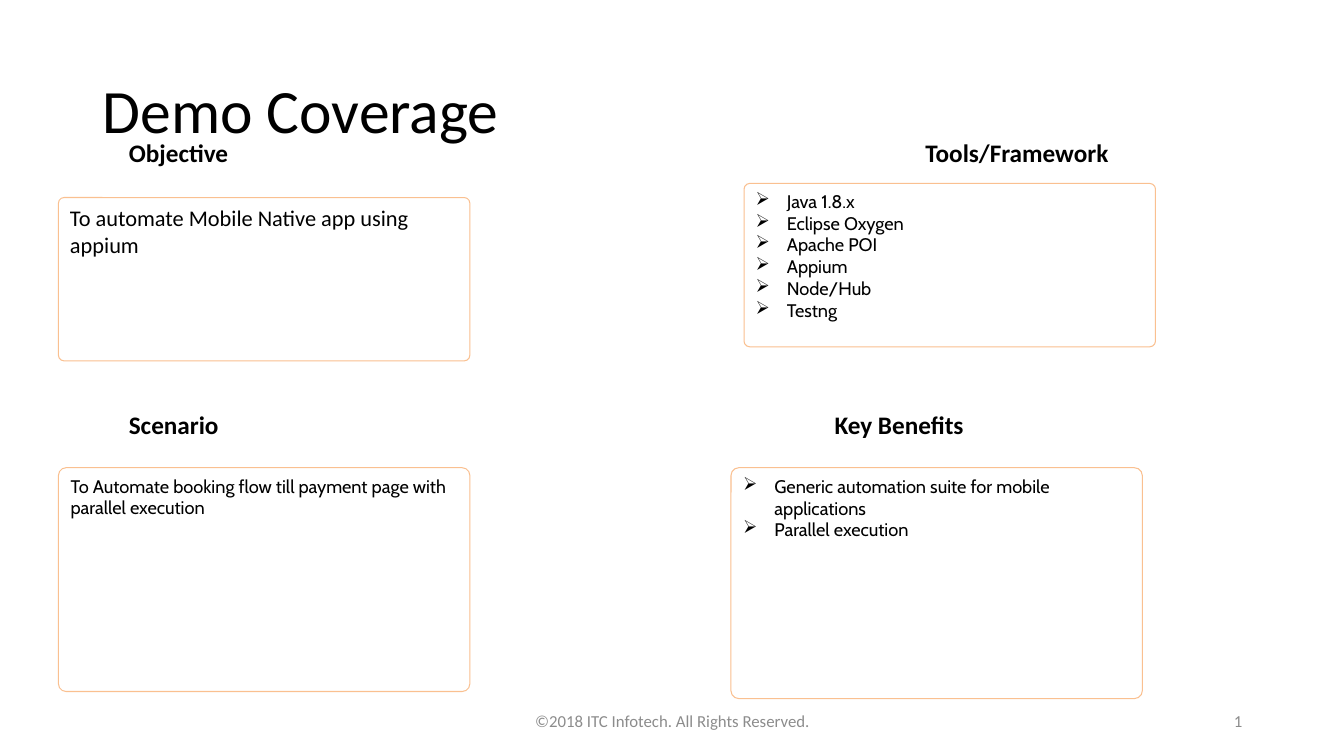
from pptx import Presentation
from pptx.dml.color import RGBColor
from pptx.enum.shapes import MSO_SHAPE
from pptx.enum.text import MSO_ANCHOR, PP_ALIGN
from pptx.oxml.ns import qn
from pptx.util import Inches, Pt

BLACK = RGBColor(0x00, 0x00, 0x00)
WHITE = RGBColor(0xFF, 0xFF, 0xFF)
GREY = RGBColor(0x8C, 0x8C, 0x8C)
PEACH = RGBColor(0xFA, 0xC0, 0x90)
ROUND = MSO_SHAPE.ROUNDED_RECTANGLE
TOP, MIDDLE = MSO_ANCHOR.TOP, MSO_ANCHOR.MIDDLE
LEFT, CENTER, RIGHT = PP_ALIGN.LEFT, PP_ALIGN.CENTER, PP_ALIGN.RIGHT

CARD_WIDTH = 4.08
INDENT = 0.31

# Heading, heading left and top
HEADS = [
    ("Objective", 1.18, 1.31),
    ("Tools/Framework", 9.08, 1.31),
    ("Scenario", 1.18, 4.01),
    ("Key Benefits", 8.18, 4.01),
]

# Card left, top, height, lines and text format
CARDS = [
    (0.58, 1.96, 1.62, ["To automate Mobile Native app using appium"],
     dict(size=16)),
    (0.58, 4.64, 2.22,
     ["To Automate booking flow till payment page with parallel execution"],
     dict(size=13, font="Cabin")),
    (7.25, 4.64, 2.29,
     ["Generic automation suite for mobile applications",
      "Parallel execution"],
     dict(size=13, font="Cabin", bullet="➢")),
    (7.38, 1.82, 1.62,
     ["Java 1.8.x", "Eclipse Oxygen", "Apache POI", "Appium", "Node/Hub",
      "Testng"],
     dict(size=13, font="Cabin", bullet="➢")),
]


def add_bullet(para, char):
    props = para._p.get_or_add_pPr()
    props.set("marL", str(Inches(INDENT)))
    props.set("indent", str(-Inches(INDENT)))
    mark = props.makeelement(qn("a:buChar"), {"char": char})
    props.append(mark)


def write(shape, lines, size=18, font="Calibri", color=BLACK, bold=False,
          align=LEFT, anchor=TOP, spacing=None, bullet=None):
    frame = shape.text_frame
    frame.word_wrap = True
    frame.vertical_anchor = anchor
    for i, line in enumerate(lines):
        para = frame.add_paragraph() if i else frame.paragraphs[0]
        para.alignment = align
        if spacing:
            para.line_spacing = spacing
        if bullet:
            add_bullet(para, bullet)
        run = para.add_run()
        run.text = line
        run.font.size = Pt(size)
        run.font.name = font
        run.font.bold = bold
        run.font.color.rgb = color


def add_label(slide, text, left, top, width, height, **style):
    box = slide.shapes.add_textbox(
        Inches(left), Inches(top), Inches(width), Inches(height))
    write(box, [text], **style)


def add_card(slide, left, top, height, lines, style):
    card = slide.shapes.add_shape(
        ROUND, Inches(left), Inches(top), Inches(CARD_WIDTH), Inches(height))
    card.adjustments[0] = 0.034
    card.shadow.inherit = False
    card.fill.solid()
    card.fill.fore_color.rgb = WHITE
    card.line.color.rgb = PEACH
    card.line.width = Pt(0.75)
    write(card, lines, **style)


def main():
    deck = Presentation()
    deck.slide_width, deck.slide_height = Inches(13.33), Inches(7.5)
    slide = deck.slides.add_slide(deck.slide_layouts[6])

    # Title
    add_label(slide, "Demo Coverage", 0.92, 0.4, 11.5, 1.45,
              size=44, anchor=MIDDLE, spacing=0.9)

    # Headings and cards
    for text, left, top in HEADS:
        add_label(slide, text, left, top, 2.4, 0.4, bold=True)
    for card in CARDS:
        add_card(slide, *card)

    # Footer
    foot = dict(size=12, color=GREY, anchor=MIDDLE)
    add_label(slide, "©2018 ITC Infotech. All Rights Reserved.",
              4.42, 6.95, 4.5, 0.4, align=CENTER, **foot)
    add_label(slide, "1", 9.42, 6.95, 3, 0.4, align=RIGHT, **foot)

    deck.save("out.pptx")


if __name__ == "__main__":
    main()
